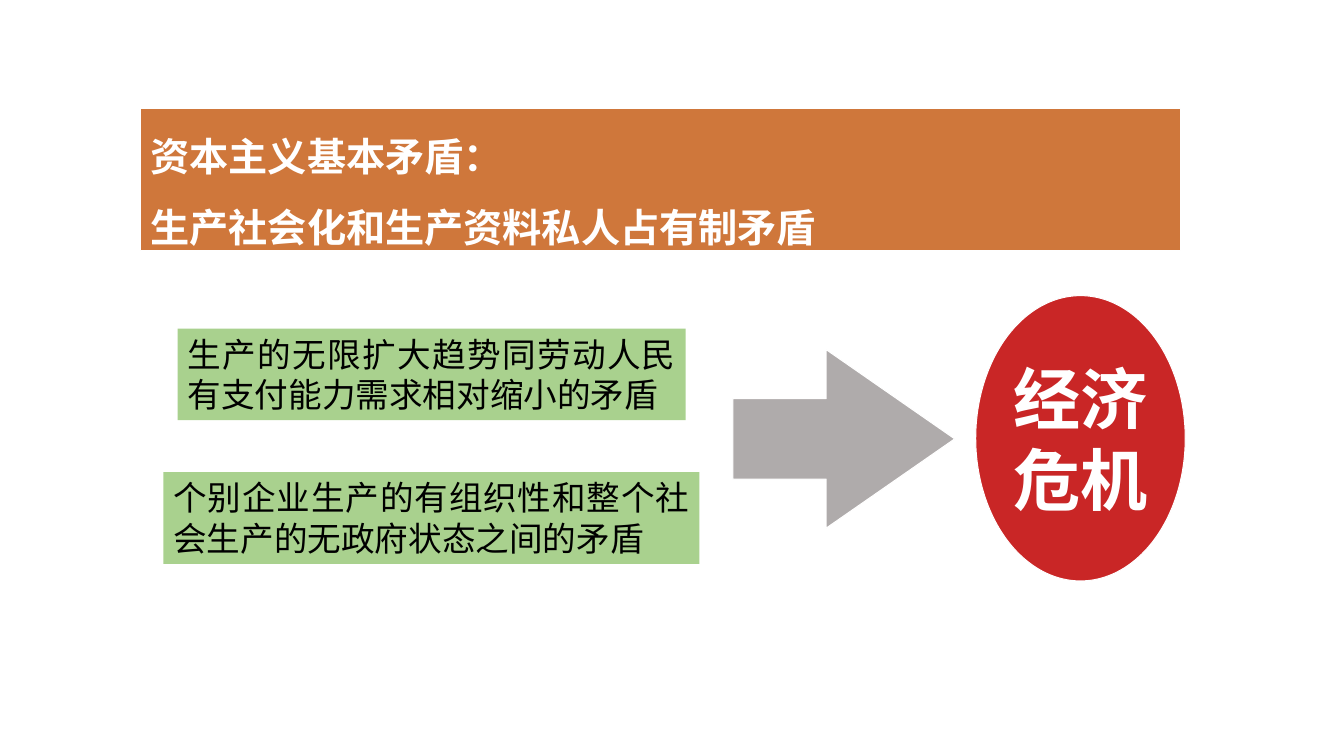
from pptx import Presentation
from pptx import util as u
from pptx.dml.color import RGBColor
from pptx.enum import shapes, text
from pptx.oxml.ns import qn
from lxml import etree


def colour(value):
    return RGBColor.from_string(value)


class SlideBuilder:
    font_name = "Noto Sans CJK SC"
    white = "FFFFFF"

    def __init__(self, presentation):
        self.slide = presentation.slides.add_slide(presentation.slide_layouts[5])

    def place(self, shape, left, top, width, height):
        shape.left, shape.top = u.Cm(left), u.Cm(top)
        shape.width, shape.height = u.Cm(width), u.Cm(height)

    def paint(self, shape, fill, opacity=100, line=None):
        shape.fill.solid()
        shape.fill.fore_color.rgb = colour(fill)
        if opacity < 100:
            solid = shape.fill._xPr.find(qn("a:solidFill"))
            etree.SubElement(solid[0], qn("a:alpha"), val=str(opacity * 1000))
        if line:
            shape.line.color.rgb = colour(line)
            shape.line.width = u.Pt(0.75)
        else:
            shape.line.fill.background()

    def set_text(self, shape, lines, size, ink, align, bold=False, spacing=1.0,
                 wrap=False, anchor=text.MSO_ANCHOR.MIDDLE):
        frame = shape.text_frame
        frame.text = "\n".join(lines)
        frame.auto_size = text.MSO_AUTO_SIZE.NONE
        frame.word_wrap = wrap
        frame.vertical_anchor = anchor
        for paragraph in frame.paragraphs:
            paragraph.alignment = align
            paragraph.line_spacing = spacing
            paragraph.space_before = u.Pt(0)
            font = paragraph.font
            font.name = self.font_name
            font.size = u.Pt(size)
            font.bold = bold
            font.color.rgb = colour(ink)
            properties = paragraph._p.pPr.find(qn("a:defRPr"))
            etree.SubElement(properties, qn("a:ea"), typeface=self.font_name)

    def shape(self, kind, left, top, width, height, fill, opacity=100, line=None):
        shape = self.slide.shapes.add_shape(kind, 0, 0, 0, 0)
        self.place(shape, left, top, width, height)
        shape.shadow.inherit = False
        self.paint(shape, fill, opacity, line)
        return shape

    def title(self, lines, left, top, width, height):
        title = self.slide.shapes.title
        self.place(title, left, top, width, height)
        self.paint(title, "C55A11", 82, self.white)
        self.set_text(title, lines, 28, self.white, text.PP_ALIGN.LEFT, True, 1.5)

    def contradiction(self, content, left, top, width):
        box = self.shape(shapes.MSO_SHAPE.RECTANGLE, left, top, width, 2.31, "A9D18E")
        self.set_text(box, [content], 24, "000000", text.PP_ALIGN.JUSTIFY,
                      wrap=True, anchor=text.MSO_ANCHOR.TOP)

    def arrow(self, left, top, width, height):
        arrow = self.shape(shapes.MSO_SHAPE.RIGHT_ARROW, left, top, width, height,
                           "AFABAB", line=self.white)
        arrow.adjustments[0] = 0.45
        arrow.adjustments[1] = 0.72

    def outcome(self, lines, left, top, width, height):
        oval = self.shape(shapes.MSO_SHAPE.OVAL, left, top, width, height,
                          "C00000", 85, self.white)
        self.set_text(oval, lines, 48, self.white, text.PP_ALIGN.CENTER, True)


def main():
    presentation = Presentation()
    presentation.slide_width = u.Cm(33.87)
    presentation.slide_height = u.Cm(19.05)
    builder = SlideBuilder(presentation)
    builder.title(["资本主义基本矛盾：", "生产社会化和生产资料私人占有制矛盾"],
                  3.54, 2.73, 26.2, 3.58)
    builder.contradiction("生产的无限扩大趋势同劳动人民有支付能力需求相对缩小的矛盾",
                          4.48, 8.28, 12.8)
    builder.contradiction("个别企业生产的有组织性和整个社会生产的无政府状态之间的矛盾",
                          4.12, 11.9, 13.51)
    builder.arrow(18.47, 8.81, 5.59, 4.5)
    builder.outcome(["经济", "危机"], 24.59, 7.45, 5.28, 7.19)
    presentation.save("out.pptx")


if __name__ == "__main__":
    main()
